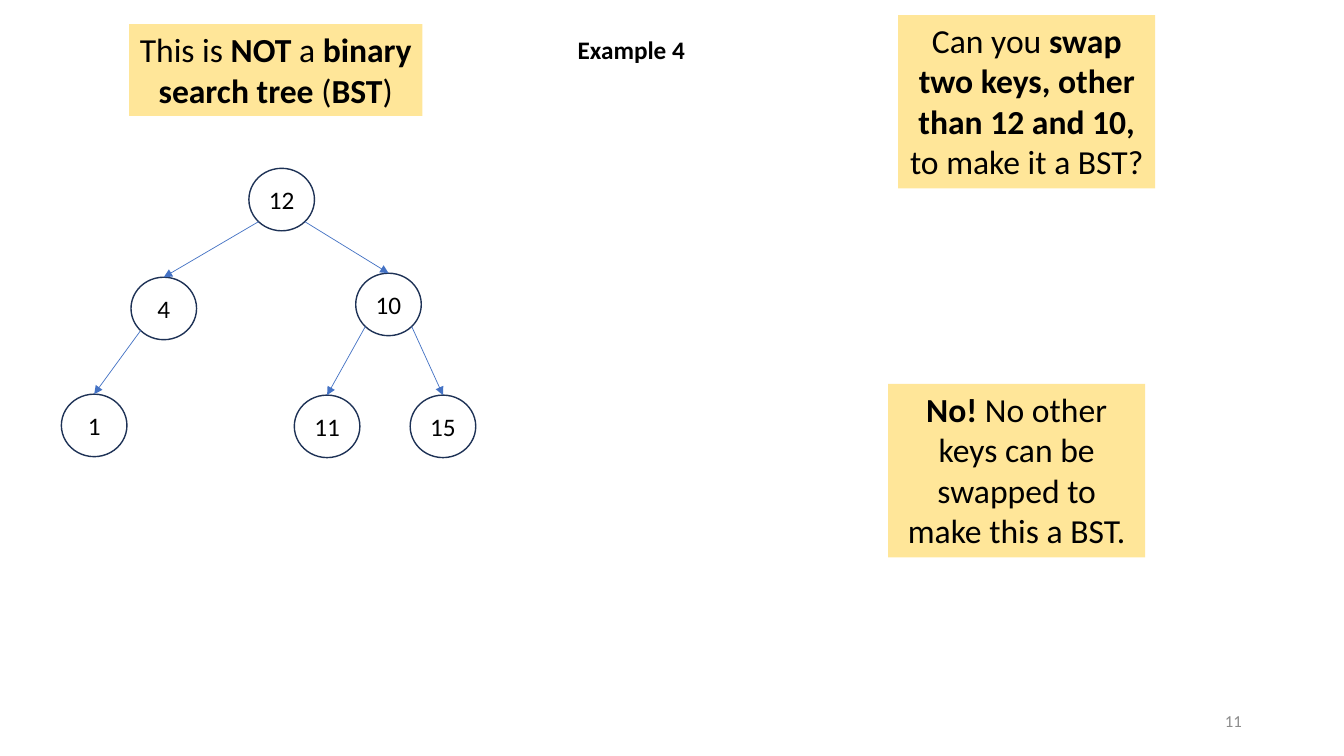
"""Build the binary search tree swap question slide."""
from math import sqrt
from typing import NamedTuple

from lxml.etree import SubElement
from pptx import Presentation
from pptx.dml.color import RGBColor
from pptx.enum.shapes import MSO_CONNECTOR, MSO_SHAPE
from pptx.enum.text import MSO_ANCHOR, MSO_AUTO_SIZE, PP_ALIGN
from pptx.oxml.ns import qn
from pptx.util import Inches, Pt

BLACK = RGBColor(0x00, 0x00, 0x00)
GRAY = RGBColor(0x8C, 0x8C, 0x8C)
CREAM = RGBColor(0xFF, 0xE6, 0x99)
NAVY = RGBColor(0x1E, 0x32, 0x56)
BLUE = RGBColor(0x44, 0x72, 0xC4)
FONT = "Calibri"
WIDE, HIGH = Inches(13.33), Inches(7.5)
NODE_W, NODE_H = 4.88, 8.27


class Box(NamedTuple):
    """Area in percent of the slide's width and height."""
    left: float
    top: float
    width: float
    height: float


class Note(NamedTuple):
    """Callout whose bold words stand between asterisks."""
    box: Box
    text: str


class Node(NamedTuple):
    """Tree key with its centre in percent and its parent key."""
    key: int
    x: float
    y: float
    root: int = 0


NOTES = [
    Note(Box(9.6, 3.2, 21.83, 12.13),
         "This is *NOT* a *binary search tree* (*BST*)"),
    Note(Box(66.83, 2, 19.13, 22.93),
         "Can you *swap two keys, other than 12 and 10, *to make it a BST?"),
    Note(Box(66.08, 50.8, 19.13, 22.93),
         "*No! *No other keys can be swapped to make this a BST."),
]
NODES = [
    Node(12, 20.96, 26.4),
    Node(4, 12.19, 40.8, 12),
    Node(10, 28.91, 40.27, 12),
    Node(1, 7.01, 56.27, 4),
    Node(11, 24.34, 56.4, 10),
    Node(15, 32.96, 56.4, 10),
]


def spot(x: float, y: float) -> tuple[int, int]:
    """Turn percent shares into slide lengths."""
    return round(WIDE * x / 100), round(HIGH * y / 100)


def area(box: Box) -> tuple[int, int, int, int]:
    """Turn a box into left, top, width and height."""
    return *spot(box.left, box.top), *spot(box.width, box.height)


def style(para, size: int, color: RGBColor = BLACK,
          align: PP_ALIGN = PP_ALIGN.CENTER) -> None:
    """Set a paragraph's font and alignment."""
    para.alignment = align
    para.font.name = FONT
    para.font.size = Pt(size)
    para.font.color.rgb = color


def add_title(slide, text: str, box: Box) -> None:
    """Fill and place the title."""
    title = slide.shapes.title
    title.left, title.top, title.width, title.height = area(box)
    frame = title.text_frame
    frame.text = text
    frame.word_wrap = False
    frame.auto_size = MSO_AUTO_SIZE.SHAPE_TO_FIT_TEXT
    frame.vertical_anchor = MSO_ANCHOR.TOP
    style(frame.paragraphs[0], 18, align=PP_ALIGN.LEFT)
    frame.paragraphs[0].font.bold = True


def add_note(slide, note: Note) -> None:
    """Draw a callout with bold words."""
    shape = slide.shapes.add_shape(MSO_SHAPE.RECTANGLE, *area(note.box))
    shape.shadow.inherit = False
    shape.fill.solid()
    shape.fill.fore_color.rgb = CREAM
    shape.line.fill.background()
    frame = shape.text_frame
    frame.word_wrap = True
    frame.auto_size = MSO_AUTO_SIZE.SHAPE_TO_FIT_TEXT
    frame.vertical_anchor = MSO_ANCHOR.TOP
    para = frame.paragraphs[0]
    style(para, 24)
    for i, part in enumerate(note.text.split("*")):
        if part:
            run = para.add_run()
            run.text = part
            run.font.bold = i % 2 == 1


def add_node(slide, node: Node) -> None:
    """Draw a tree key in its circle."""
    box = Box(node.x - NODE_W / 2, node.y - NODE_H / 2, NODE_W, NODE_H)
    shape = slide.shapes.add_shape(MSO_SHAPE.OVAL, *area(box))
    shape.shadow.inherit = False
    shape.fill.background()
    shape.line.color.rgb = NAVY
    shape.line.width = Pt(1)
    frame = shape.text_frame
    frame.margin_left = frame.margin_right = 0
    frame.margin_top = frame.margin_bottom = 0
    frame.word_wrap = False
    frame.vertical_anchor = MSO_ANCHOR.MIDDLE
    frame.text = str(node.key)
    style(frame.paragraphs[0], 18)


def add_edge(slide, root: Node, node: Node) -> None:
    """Draw an arrow from a parent's lower corner to its child's top."""
    side = 1 if node.x > root.x else -1
    start = spot(root.x + side * NODE_W / sqrt(8), root.y + NODE_H / sqrt(8))
    end = spot(node.x, node.y - NODE_H / 2)
    edge = slide.shapes.add_connector(MSO_CONNECTOR.STRAIGHT, *start, *end)
    edge.line.color.rgb = BLUE
    edge.line.width = Pt(0.5)
    SubElement(edge.line._get_or_add_ln(), qn("a:tailEnd"), type="triangle")
    SubElement(edge._element.spPr, qn("a:effectLst"))


def add_page(slide, text: str, box: Box) -> None:
    """Write the page number."""
    frame = slide.shapes.add_textbox(*area(box)).text_frame
    frame.word_wrap = True
    frame.vertical_anchor = MSO_ANCHOR.MIDDLE
    frame.text = text
    style(frame.paragraphs[0], 12, GRAY, PP_ALIGN.RIGHT)


def main() -> None:
    """Build and save the slide."""
    deck = Presentation()
    deck.slide_width, deck.slide_height = WIDE, HIGH
    slide = deck.slides.add_slide(deck.slide_layouts[5])
    add_title(slide, "Example 4", Box(42.23, 3.87, 9.53, 5.33))
    for note in NOTES:
        add_note(slide, note)
    tree = {node.key: node for node in NODES}
    for node in NODES:
        add_node(slide, node)
        if node.root:
            add_edge(slide, tree[node.root], node)
    add_page(slide, "11", Box(70.65, 92.67, 22.5, 5.33))
    deck.save("out.pptx")


if __name__ == "__main__":
    main()
